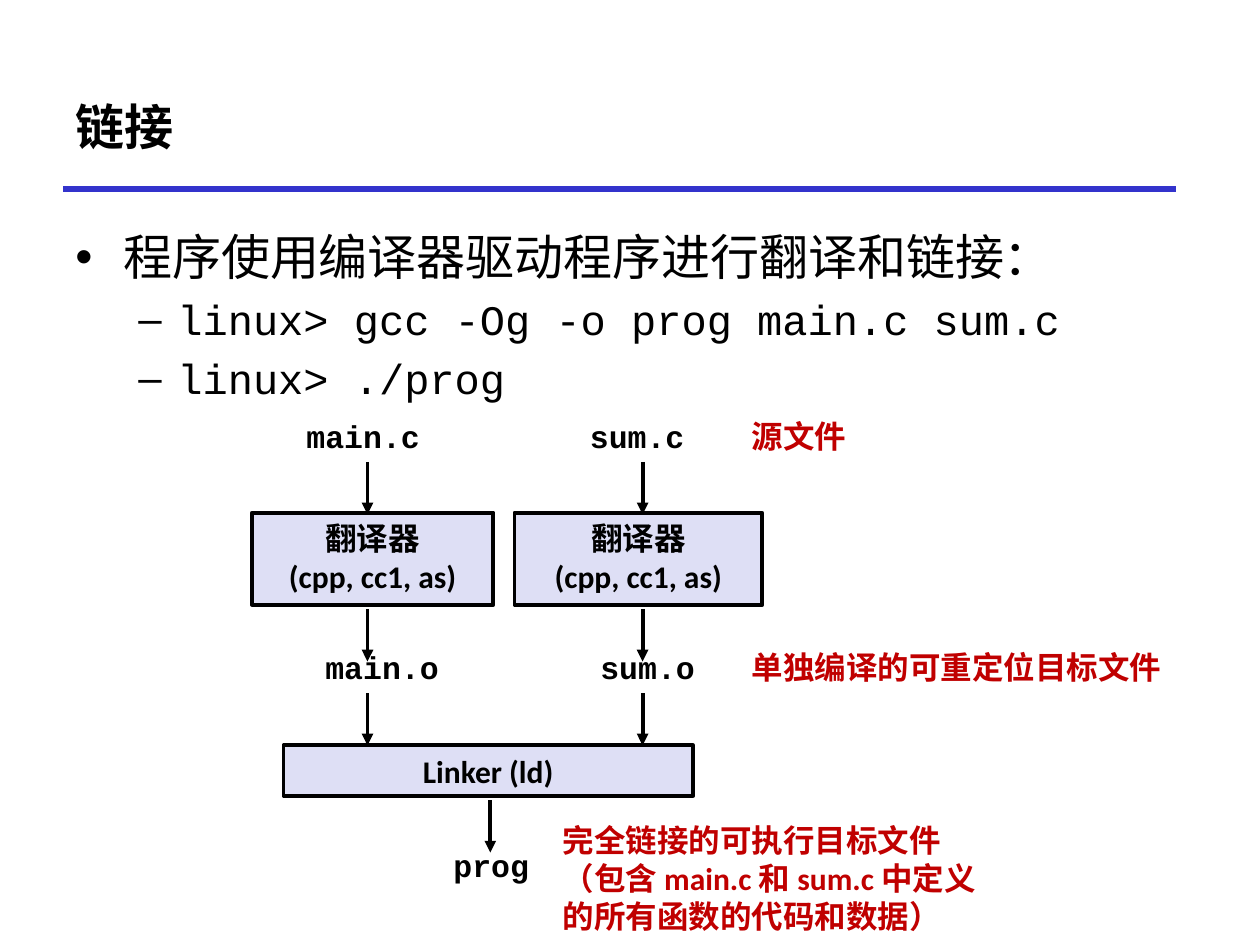
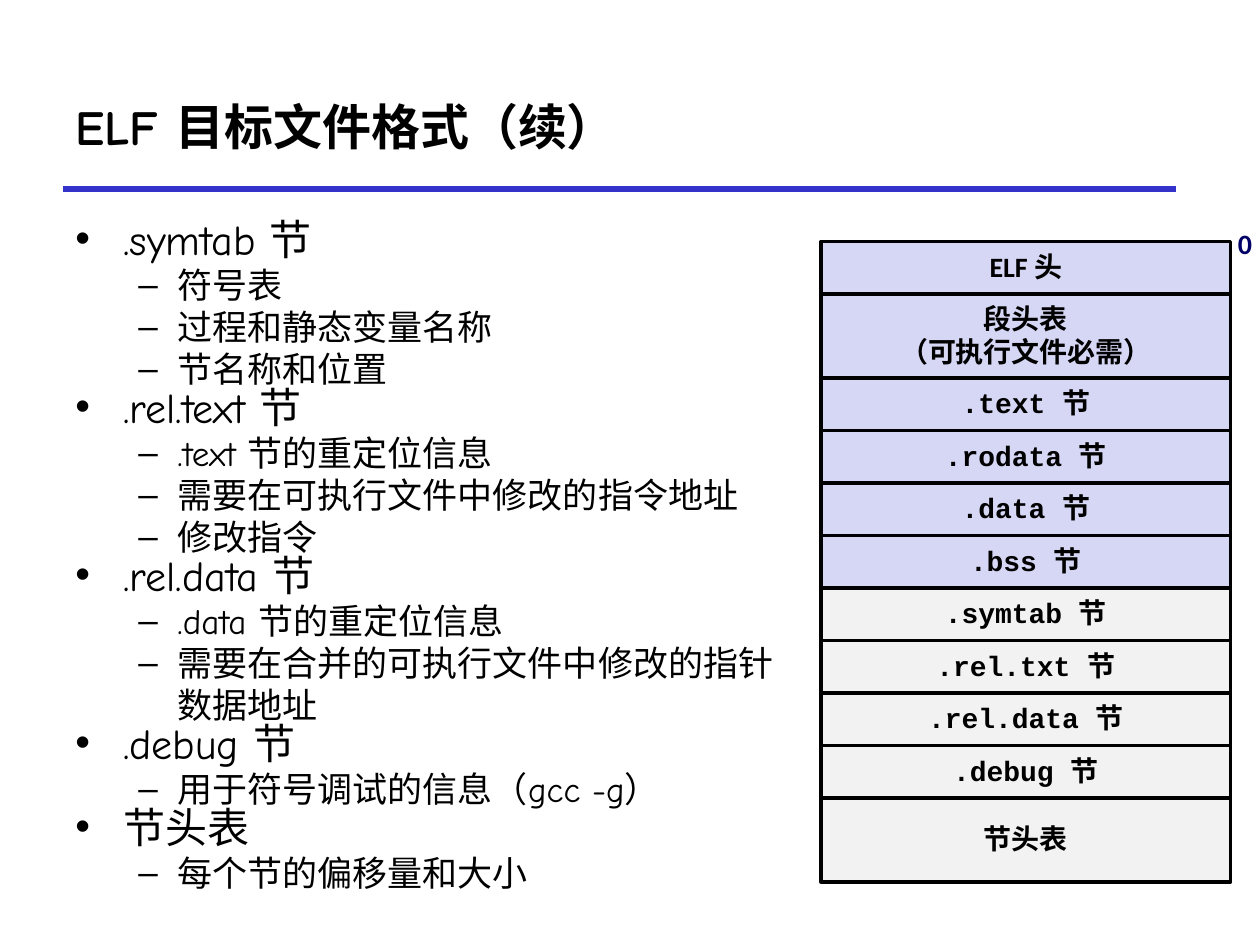
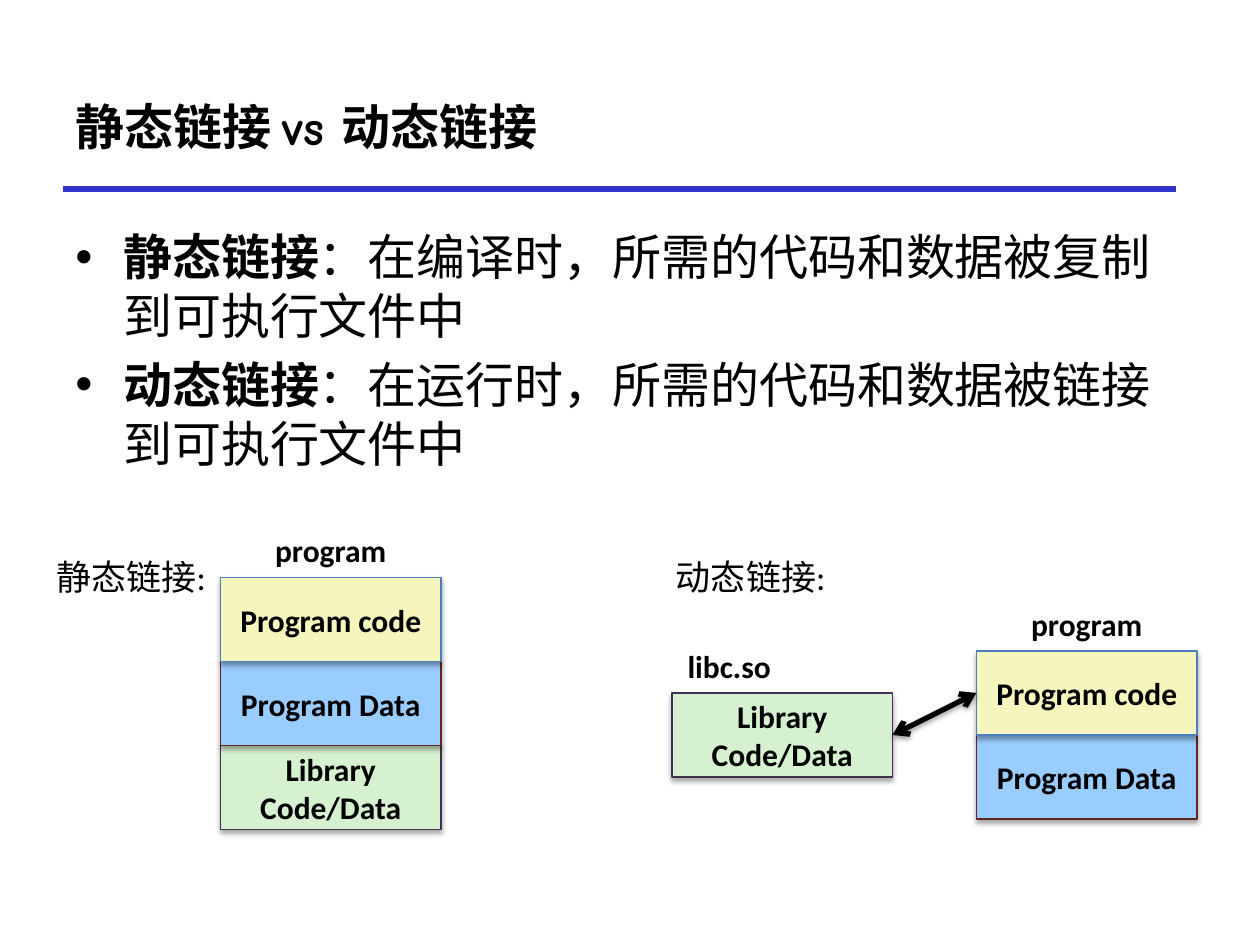
from collections import namedtuple

from lxml import etree
from pptx import Presentation
from pptx.dml.color import RGBColor
from pptx.enum.shapes import MSO_CONNECTOR, MSO_SHAPE
from pptx.enum.text import MSO_ANCHOR, PP_ALIGN
from pptx.oxml.ns import qn
from pptx.util import Inches, Pt

STRAIGHT = MSO_CONNECTOR.STRAIGHT
RECTANGLE = MSO_SHAPE.RECTANGLE
TOP, MIDDLE = MSO_ANCHOR.TOP, MSO_ANCHOR.MIDDLE
LEFT, CENTER = PP_ALIGN.LEFT, PP_ALIGN.CENTER

COLORS = {
    "ink": "000000",
    "rule": "3333CC",
    "stage": "DEDFF5",
    "note": "C00000",
    "loaded": "D6D6F5",
    "unloaded": "F2F2F2",
    "offset": "000066",
    "code": "F6F5BD",
    "code_line": "4B7EBC",
    "data": "99CCFF",
    "data_line": "632523",
    "library": "D5F1CF",
    "library_line": "403152",
}
PLAIN, HAND, MONO = "Calibri", "Comic Neue", "Courier New"
GRID = Inches(1) // 12
TITLE_ONLY = 5
BULLETS = [(0.38, -0.38, "•"), (0.81, -0.31, "–")]

Box = namedtuple("Box", "left top width height")

TITLE_BOX = Box(6, 6, 106, 12)
BODY_BOX = Box(6, 21, 109, 58)


def inside(area, left, top, width, height):
    return Box(area.left + left, area.top + top, width, height)


def scaled(box):
    return [round(length * GRID) for length in box]


def color(name):
    return RGBColor.from_string(COLORS[name])


def add_effects(shape, opacity=0, distance=0):
    properties = shape._element.spPr
    effects = etree.SubElement(properties, qn("a:effectLst"))
    if opacity:
        shadow = etree.SubElement(
            effects, qn("a:outerShdw"), blurRad=str(Pt(3.1)), dist=str(Pt(distance)),
            dir="5400000", rotWithShape="0")
        tint = etree.SubElement(shadow, qn("a:srgbClr"), val=COLORS["ink"])
        etree.SubElement(tint, qn("a:alpha"), val=str(opacity * 1000))


def format_run(run, size, font=PLAIN, ink="ink", bold=True):
    run.font.size = Pt(size)
    run.font.name = font
    run.font.bold = bold
    run.font.color.rgb = color(ink)


def write(shape, text, size=18, font=PLAIN, ink="ink", bold=True,
          align=LEFT, anchor=TOP, wrap=True, spacing=None):
    frame = shape.text_frame
    frame.text = text
    frame.word_wrap = wrap
    frame.vertical_anchor = anchor
    for paragraph in frame.paragraphs:
        paragraph.alignment = align
        paragraph.line_spacing = spacing
        for run in paragraph.runs:
            format_run(run, size, font, ink, bold)


def add_label(slide, box, text, **style):
    write(slide.shapes.add_textbox(*scaled(box)), text, **style)


def add_block(slide, box, text, fill, line="ink", weight=2.25, shadow=False, **style):
    block = slide.shapes.add_shape(RECTANGLE, *scaled(box))
    block.fill.solid()
    block.fill.fore_color.rgb = color(fill)
    block.line.color.rgb = color(line)
    block.line.width = Pt(weight)
    if shadow:
        add_effects(block, 35, 1.8)
    else:
        block.shadow.inherit = False
    write(block, text, align=CENTER, **style)


def add_line(slide, start, end, ink="ink", weight=2.25, head=None, tail=None, shadow=0):
    line = slide.shapes.add_connector(STRAIGHT, *scaled(start + end))
    line.line.color.rgb = color(ink)
    line.line.width = Pt(weight)
    outline = line.line._get_or_add_ln()
    for tag, kind in (("a:headEnd", head), ("a:tailEnd", tail)):
        if kind:
            etree.SubElement(outline, qn(tag), type=kind)
    add_effects(line, shadow, 1.6)


def add_titled_slide(presentation, text):
    slide = presentation.slides.add_slide(presentation.slide_layouts[TITLE_ONLY])
    title = slide.shapes.title
    title.left, title.top, title.width, title.height = scaled(TITLE_BOX)
    write(title, text, size=28, font=HAND, anchor=MIDDLE)
    bottom = TITLE_BOX.top + TITLE_BOX.height
    add_line(slide, (TITLE_BOX.left, bottom),
             (TITLE_BOX.left + TITLE_BOX.width, bottom), "rule", 3)
    return slide


def add_bullets(slide, box, items, sizes, fonts=(HAND, HAND), line_height=None):
    frame = slide.shapes.add_textbox(*scaled(box)).text_frame
    frame.word_wrap = True
    for index, (level, lead, text) in enumerate(items):
        paragraph = frame.paragraphs[0] if index == 0 else frame.add_paragraph()
        margin, indent, mark = BULLETS[level]
        properties = paragraph._p.get_or_add_pPr()
        properties.set("marL", str(Inches(margin)))
        properties.set("indent", str(Inches(indent)))
        etree.SubElement(properties, qn("a:buFont"), typeface="Arial")
        etree.SubElement(properties, qn("a:buChar"), char=mark)
        paragraph.level = level
        if line_height:
            paragraph.line_spacing = Pt(line_height)
        elif index:
            paragraph.space_before = Pt(sizes[level] * 0.2)
        for part, bold in ((lead, True), (text, False)):
            if part:
                run = paragraph.add_run()
                run.text = part
                format_run(run, sizes[level], fonts[level], bold=bold)


def add_build_diagram(slide, area):
    main_column, sum_column = 11, 37.2
    arrows = [(column, row) for column in (main_column, sum_column) for row in (5, 19, 27)]
    for column, row in arrows + [(22.7, 37.2)]:
        start = inside(area, column, row, 0, 0)[:2]
        add_line(slide, start, (start[0], start[1] + 5), tail="triangle")
    for left, width in ((0, 23), (25, 23.6)):
        add_block(slide, inside(area, left, 9.84, width, 8.76),
                  "翻译器\n(cpp, cc1, as)", "stage")
    add_block(slide, inside(area, 3, 32, 39, 4.8), "Linker (ld)", "stage")
    files = [("main.c", 4, 0.1, 13.3), ("sum.c", 31, 0.1, 11.5),
             ("main.o", 5.8, 22.1, 13.3), ("sum.o", 32, 22.1, 11.5),
             ("prog", 18, 41, 9.7)]
    for name, left, top, width in files:
        add_label(slide, inside(area, left, top, width, 4.8), name, font=MONO, wrap=False)
    notes = [("源文件", 46.4, 0.1, 11.5, False),
             ("单独编译的可重定位目标文件", 46.4, 22.1, 42.1, False),
             ("完全链接的可执行目标文件\n（包含 main.c 和 sum.c 中定义的所有函数的代码和数据）",
              28.4, 38.6, 42.1, True)]
    for text, left, top, width, wrap in notes:
        add_label(slide, inside(area, left, top, width, 4.8), text, ink="note", wrap=wrap)


def add_section_map(slide, area):
    sections = [("ELF 头", 5), ("段头表\n（可执行文件必需）", 8),
                (".text 节", 5), (".rodata 节", 5), (".data 节", 5), (".bss 节", 5),
                (".symtab 节", 5), (".rel.txt 节", 5), (".rel.data 节", 5),
                (".debug 节", 5), ("节头表", 8)]
    loaded_count = 6
    top = 0
    for index, (name, rows) in enumerate(sections):
        dotted = name.startswith(".")
        add_block(slide, inside(area, 0, top, area.width, rows), name,
                  "loaded" if index < loaded_count else "unloaded", weight=2,
                  size=16, font=MONO if dotted else PLAIN, anchor=MIDDLE,
                  wrap=False, spacing=0.94 if dotted else 0.98)
        top += rows
    add_label(slide, inside(area, area.width - 0.5, -1.9, 3.7, 4.4), "0",
              size=16, ink="offset", wrap=False, spacing=0.98)


def add_memory_stack(slide, area, parts):
    texts = {"code": "Program code", "data": "Program Data",
             "library": "Library Code/Data"}
    for index, part in reversed(list(enumerate(parts))):
        add_block(slide, inside(area, 0, index * 8, area.width, 8), texts[part],
                  part, part + "_line", 0.75, shadow=True, anchor=MIDDLE)


def add_linking_comparison(slide, area):
    static = inside(area, 16.8, 5, 21, 24)
    dynamic = inside(area, 88.8, 12, 21, 16)
    library = inside(area, 59.8, 16, 21, 8)
    add_memory_stack(slide, static, ["code", "data", "library"])
    add_memory_stack(slide, library, ["library"])
    add_memory_stack(slide, dynamic, ["code", "data"])
    for program in (static, dynamic):
        add_label(slide, inside(program, 0, -5, program.width, 4.8), "program", align=CENTER)
    add_label(slide, inside(library, 0.3, -5, 10.4, 4.8), "libc.so", wrap=False)
    for text, left in (("静态链接:", 0), ("动态链接:", 59)):
        add_label(slide, inside(area, left, 2.3, 16.8, 5.2), text,
                  size=20, bold=False, wrap=False)
    add_line(slide, (dynamic.left, dynamic.top + 4),
             (library.left + library.width, library.top + 4),
             weight=3, head="arrow", tail="arrow", shadow=38)


def build_linking_slide(presentation):
    slide = add_titled_slide(presentation, "链接")
    items = [(0, "", "程序使用编译器驱动程序进行翻译和链接："),
             (1, "", "linux> gcc -Og -o prog main.c sum.c"),
             (1, "", "linux> ./prog")]
    add_bullets(slide, BODY_BOX, items, (28, 24), (HAND, MONO))
    add_build_diagram(slide, Box(24, 39, 89, 51))


def build_elf_slide(presentation):
    slide = add_titled_slide(presentation, "ELF 目标文件格式（续）")
    outline = [
        (".symtab 节", ["符号表", "过程和静态变量名称", "节名称和位置"]),
        (".rel.text 节", [".text 节的重定位信息",
                         "需要在可执行文件中修改的指令地址", "修改指令"]),
        (".rel.data 节", [".data 节的重定位信息",
                         "需要在合并的可执行文件中修改的指针数据地址"]),
        (".debug 节", ["用于符号调试的信息（gcc -g）"]),
        ("节头表", ["每个节的偏移量和大小"]),
    ]
    items = []
    for section, details in outline:
        items.append((0, "", section))
        items.extend((1, "", detail) for detail in details)
    add_bullets(slide, Box(6, 20.5, 71, 69), items, (24, 20), line_height=24)
    add_section_map(slide, Box(78.2, 23, 39, 61))


def build_comparison_slide(presentation):
    slide = add_titled_slide(presentation, "静态链接 vs 动态链接")
    items = [(0, "静态链接", "：在编译时，所需的代码和数据被复制到可执行文件中"),
             (0, "动态链接", "：在运行时，所需的代码和数据被链接到可执行文件中")]
    add_bullets(slide, BODY_BOX, items, (28, 24))
    add_linking_comparison(slide, Box(4.2, 50, 110, 30))


def main():
    presentation = Presentation()
    presentation.slide_width = Inches(10)
    presentation.slide_height = Inches(7.5)
    build_linking_slide(presentation)
    build_elf_slide(presentation)
    build_comparison_slide(presentation)
    presentation.save("out.pptx")


if __name__ == "__main__":
    main()
